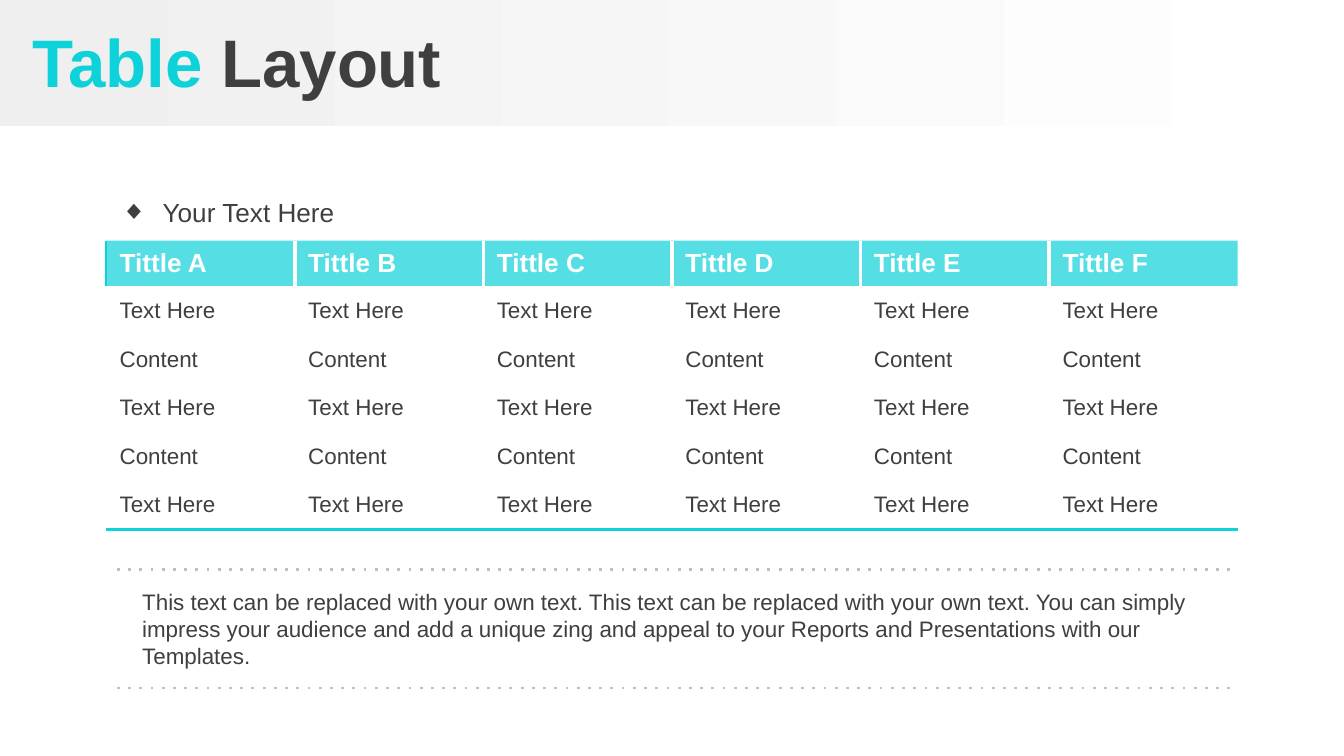
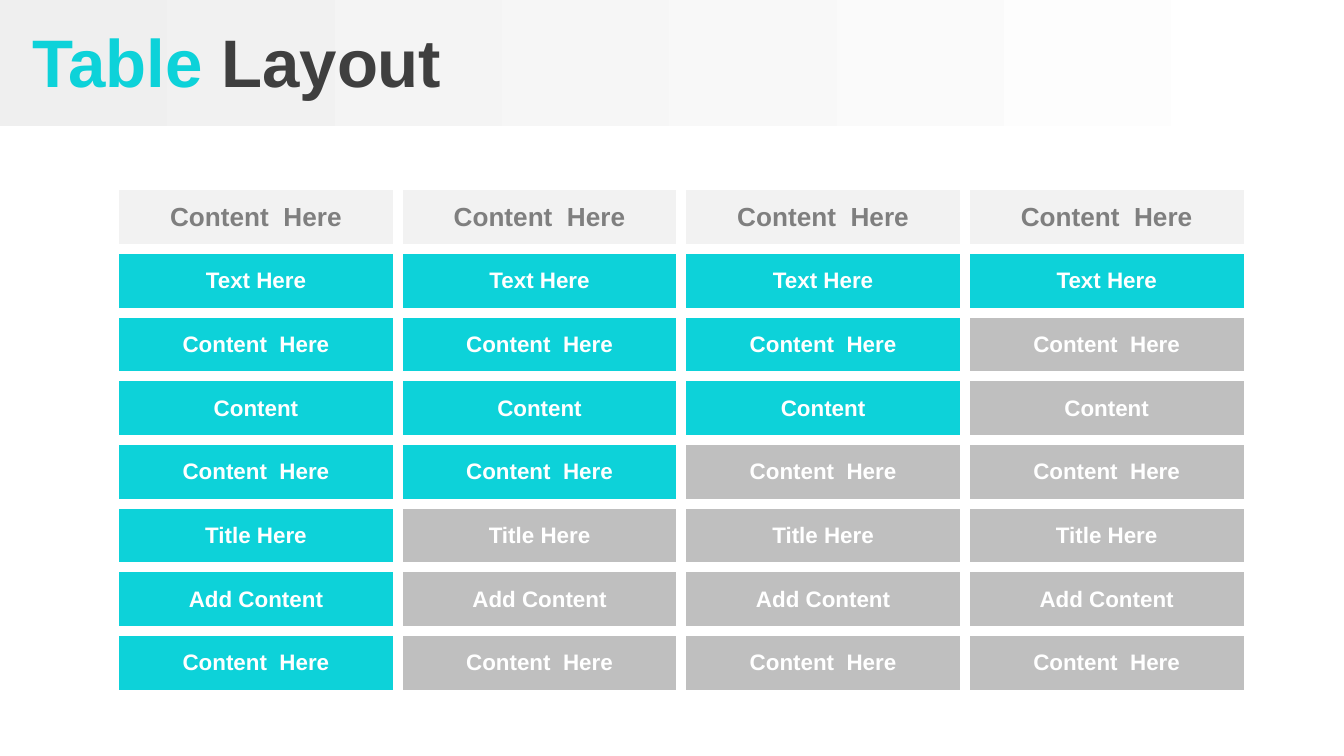
from lxml import etree
from pptx import Presentation
from pptx.dml.color import RGBColor
from pptx.enum.shapes import MSO_CONNECTOR, MSO_SHAPE
from pptx.enum.text import MSO_ANCHOR, MSO_AUTO_SIZE, PP_ALIGN
from pptx.oxml.ns import qn
from pptx.util import Inches, Pt

LEFT, CENTER = PP_ALIGN.LEFT, PP_ALIGN.CENTER
TOP, MIDDLE = MSO_ANCHOR.TOP, MSO_ANCHOR.MIDDLE
NO_FIT = MSO_AUTO_SIZE.NONE
RECTANGLE, STRAIGHT = MSO_SHAPE.RECTANGLE, MSO_CONNECTOR.STRAIGHT
CONTENT_LAYOUT, TITLE_LAYOUT = 1, 5
PLAIN_TABLE = "{2D5ABB26-0587-4C30-8999-92F81FD0307C}"

# 16:9 page
PAGE_WIDTH = Inches(10)
PAGE_HEIGHT = PAGE_WIDTH * 9 // 16

TEAL, DARK, WHITE = "0DD2D9", "3F3F3F", "FFFFFF"
SILVER, PALE, GRAY, MIST = "BFBFBF", "F2F2F2", "7F7F7F", "EFEFEF"

TITLE_TEXT = {"size": Pt(36), "bold": True}
HEADING_TEXT = {"size": Pt(14), "bold": True}
BULLET_TEXT = {"size": Pt(14), "bold": False}
BODY_TEXT = {"size": Pt(12), "bold": False}
CELL_TEXT = {"size": Pt(12), "bold": True}

PLAIN_HEADINGS = [f"Tittle {letter}" for letter in "ABCDEF"]
PLAIN_ROWS = ["Text Here", "Content", "Text Here", "Content", "Text Here"]
# Each step: its label and how many of its columns are teal
STEP_COLUMNS = 4
STEPS = [("Text Here", 4), ("Content  Here", 3), ("Content", 3),
         ("Content  Here", 2), ("Title Here", 1), ("Add Content", 1),
         ("Content  Here", 1)]
NOTE = ("This text can be replaced with your own text. This text can be "
        "replaced with your own text. You can simply impress your audience "
        "and add a unique zing and appeal to your Reports and Presentations "
        "with our Templates.")


# Shared helpers
def colour(value):
    return RGBColor.from_string(value)


def inches(box):
    return [Inches(length) for length in box]


def set_all(target, values):
    for name, value in values.items():
        setattr(target, name, value)


def add_span(para, text, style, ink):
    span = para.add_run()
    span.text = text
    set_all(span.font, {"name": "Arial", **style})
    span.font.color.rgb = colour(ink)


def prepare_frame(shape, anchor=TOP):
    frame = shape.text_frame
    set_all(frame, {"word_wrap": True, "auto_size": NO_FIT,
                    "vertical_anchor": anchor, "margin_left": Inches(0.1),
                    "margin_right": Inches(0.1), "margin_top": Inches(0.05),
                    "margin_bottom": Inches(0.05)})
    return frame.paragraphs[0]


def move(shape, box):
    set_all(shape, dict(zip(("left", "top", "width", "height"), inches(box))))


def add_solid(parent, value):
    fill = etree.SubElement(parent, qn("a:solidFill"))
    etree.SubElement(fill, qn("a:srgbClr"), val=value)


# Title band and title
def add_header(page):
    band = page.shapes.add_shape(RECTANGLE, *inches((0, 0, 9.96, 0.94)))
    band.shadow.inherit = False
    band.line.fill.background()
    band.fill.gradient()
    band.fill.gradient_angle = 0
    for stop, value in zip(band.fill.gradient_stops, (MIST, WHITE)):
        stop.color.rgb = colour(value)
    page.shapes._spTree.insert(2, band._element)

    title = page.shapes.title
    move(title, (0, 0.03, 10, 0.85))
    para = prepare_frame(title, MIDDLE)
    para.alignment = LEFT
    add_span(para, " Table ", TITLE_TEXT, TEAL)
    add_span(para, "Layout", TITLE_TEXT, DARK)


# Tables
def add_grid(page, box, rows, columns):
    holder = page.shapes.add_table(rows, columns, *inches(box))
    table = holder.table
    set_all(table, {"first_row": False, "horz_banding": False})
    table._tbl.tblPr.find(qn("a:tableStyleId")).text = PLAIN_TABLE
    for column in table.columns:
        column.width = Inches(box[2] / columns)
    return table


def set_cell(cell, text, style, ink, fill, align=LEFT, opacity=100):
    cell.vertical_anchor = MIDDLE
    para = cell.text_frame.paragraphs[0]
    para.alignment = align
    add_span(para, text, style, ink)
    cell.fill.solid()
    cell.fill.fore_color.rgb = colour(fill)
    if opacity < 100:
        tint = cell._tc.tcPr.find(".//" + qn("a:srgbClr"))
        etree.SubElement(tint, qn("a:alpha"), val=str(opacity * 1000))


def set_borders(cell, borders):
    """Borders map sides, in the order L, R, T, B, to (colour, points)."""
    for index, (side, (value, points)) in enumerate(borders.items()):
        line = etree.Element(qn(f"a:ln{side}"), w=str(Pt(points)))
        add_solid(line, value)
        cell._tc.tcPr.insert(index, line)


def add_plain_table(page, box):
    last_row, last_column = len(PLAIN_ROWS), len(PLAIN_HEADINGS) - 1
    table = add_grid(page, box, last_row + 1, last_column + 1)
    heights = [0.34] + [(box[3] - 0.34) / last_row] * last_row
    for row, height in enumerate(heights):
        table.rows[row].height = Inches(height)
        for column, heading in enumerate(PLAIN_HEADINGS):
            cell = table.cell(row, column)
            borders = {}
            if column > 0:
                borders["L"] = (WHITE, 2.25)
            elif row == 0:
                borders["L"] = (TEAL, 1)
            if column < last_column:
                borders["R"] = (WHITE, 2.25)
            if row == last_row:
                borders["B"] = (TEAL, 2.25)
            if row == 0:
                set_cell(cell, heading, HEADING_TEXT, WHITE, TEAL, opacity=70)
            else:
                set_cell(cell, PLAIN_ROWS[row - 1], BODY_TEXT, DARK, WHITE)
            set_borders(cell, borders)


def add_step_table(page, box):
    rows = [("Content  Here", 0)] + STEPS
    table = add_grid(page, box, len(rows), STEP_COLUMNS)
    for row, (label, teal_count) in enumerate(rows):
        table.rows[row].height = Inches(box[3] / len(rows))
        for column in range(STEP_COLUMNS):
            cell = table.cell(row, column)
            if row == 0:
                look = (HEADING_TEXT, GRAY, PALE)
            else:
                look = (CELL_TEXT, WHITE, TEAL if column < teal_count else SILVER)
            set_cell(cell, label, *look, align=CENTER)
            set_borders(cell, {side: (WHITE, 6) for side in "LRTB"})


# Bullet line above the table
def add_bullet(page, box):
    body = page.placeholders[1]
    move(body, box)
    para = prepare_frame(body)
    set_all(para, {"space_before": Pt(0), "alignment": LEFT})
    props = para._p.get_or_add_pPr()
    props.set("marL", str(Inches(0.31)))
    props.set("indent", str(-Inches(0.31)))
    tint = etree.SubElement(props, qn("a:buClr"))
    etree.SubElement(tint, qn("a:srgbClr"), val=DARK)
    etree.SubElement(props, qn("a:buFont"), typeface="Arial")
    etree.SubElement(props, qn("a:buChar"), char="◆")
    add_span(para, "Your Text Here", BULLET_TEXT, DARK)


# Note between two dotted rules
def add_note(page, box):
    left, top, width, height = box
    for y in (top, top + height):
        rule = page.shapes.add_connector(
            STRAIGHT, *inches((left, y, left + width, y)))
        rule.line.width = Pt(1.5)
        rule.line.color.rgb = colour(SILVER)
        props = rule._element.spPr
        etree.SubElement(props.find(qn("a:ln")), qn("a:prstDash"), val="dot")
        etree.SubElement(props, qn("a:effectLst"))
    text = page.shapes.add_textbox(
        *inches((left + 0.09, top + 0.09, 8.07, 0.71)))
    add_span(prepare_frame(text), NOTE, BODY_TEXT, DARK)


def add_page(deck, layout):
    page = deck.slides.add_slide(deck.slide_layouts[layout])
    add_header(page)
    return page


def build_plain_page(deck):
    page = add_page(deck, CONTENT_LAYOUT)
    add_plain_table(page, (0.79, 1.79, 8.42, 2.15))
    add_note(page, (0.87, 4.24, 8.3, 0.88))
    add_bullet(page, (0.8, 1.41, 2.08, 0.34))


def build_step_page(deck):
    page = add_page(deck, TITLE_LAYOUT)
    add_step_table(page, (0.85, 1.38, 8.44, 3.79))


def main():
    deck = Presentation()
    set_all(deck, {"slide_width": PAGE_WIDTH, "slide_height": PAGE_HEIGHT})
    build_plain_page(deck)
    build_step_page(deck)
    deck.save("out.pptx")


if __name__ == "__main__":
    main()
